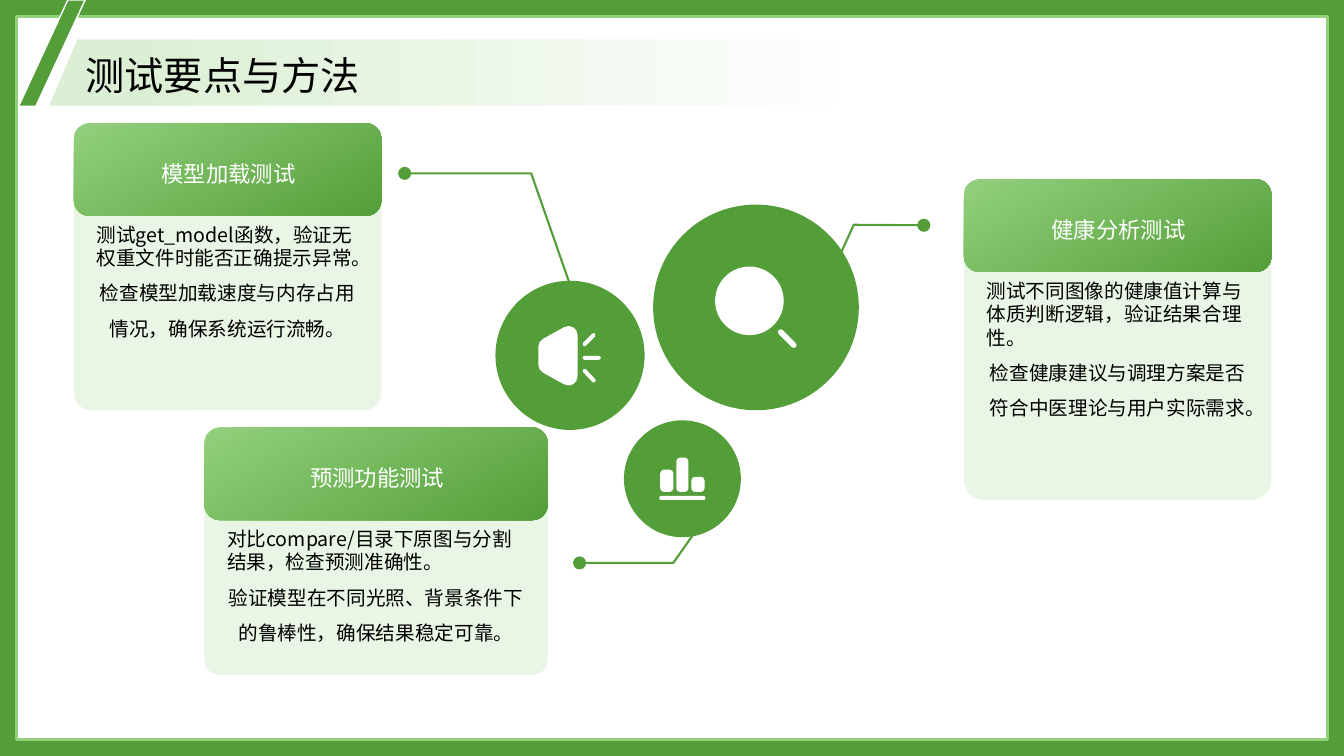
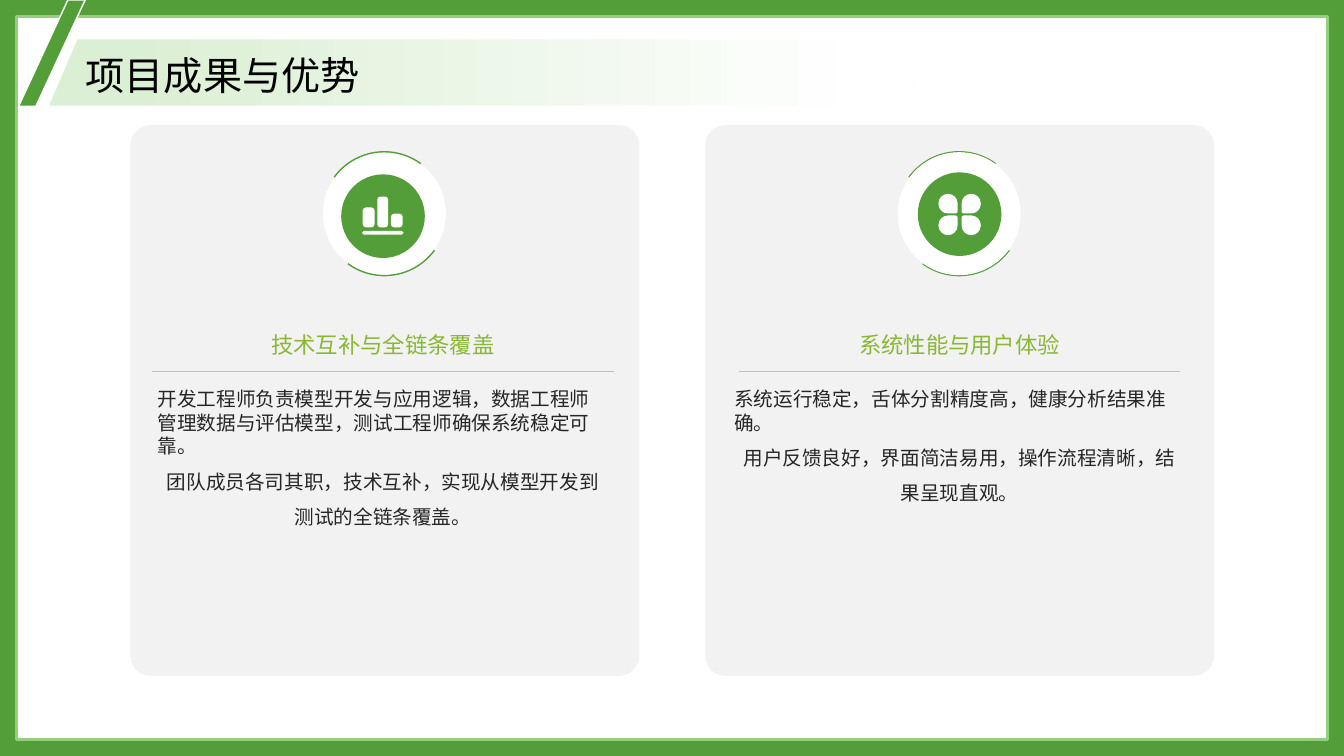
import math

import pptx
import pptx.dml.color
import pptx.enum.shapes
import pptx.enum.text
import pptx.oxml
import pptx.oxml.ns
import pptx.util
from lxml import etree

# Grid of square cells: 75 rows, 133.33 columns
ROWS = 75
HEIGHT = pptx.util.Inches(7.5)
WIDTH = pptx.util.Inches(13.333)
CELL = HEIGHT / ROWS
COLS = WIDTH / CELL

COLOURS = {
    "green": "549E39", "light": "93D07D", "pale": "DBEFD4", "lime": "8AB833",
    "white": "FFFFFF", "grey": "F2F2F2", "rule": "BFBFBF",
    "black": "000000", "ink": "262626",
}
FONT = "Noto Sans CJK SC"
SHAPE = pptx.enum.shapes.MSO_SHAPE
ANCHOR = pptx.enum.text.MSO_ANCHOR
ALIGN = pptx.enum.text.PP_ALIGN
qn = pptx.oxml.ns.qn

FLUSH = dict.fromkeys(("margin_left", "margin_top", "margin_right", "margin_bottom"), 0)
TITLE = {"alignment": ALIGN.LEFT, "line_spacing": 1.1}
HEADING = {"alignment": ALIGN.CENTER, "line_spacing": 1.3}
CAPTION = {"alignment": ALIGN.CENTER}
LEAD = {"alignment": ALIGN.LEFT, "line_spacing": 1.0}
DETAIL = {"alignment": ALIGN.CENTER, "line_spacing": 1.5}


# Basic helpers
def cells(n):
    return pptx.util.Emu(round(n * CELL))


def rgb(name):
    return pptx.dml.color.RGBColor.from_string(COLOURS[name])


def apply(obj, values):
    for key, value in values.items():
        setattr(obj, key, value)


def paint(sp, fill=None, line=None, width=1.0):
    sp.shadow.inherit = False
    if fill:
        sp.fill.solid()
        sp.fill.fore_color.rgb = rgb(fill)
    else:
        sp.fill.background()
    if line:
        sp.line.color.rgb = rgb(line)
        sp.line.width = pptx.util.Pt(width)
    else:
        sp.line.fill.background()


def shape(s, kind, x, y, w, h, fill=None, line=None, width=1.0, adj=None, turn=0):
    sp = s.shapes.add_shape(kind, *map(cells, (x, y, w, h)))
    paint(sp, fill, line, width)
    if adj is not None:
        sp.adjustments[0] = adj
    sp.rotation = turn
    return sp


def circle(s, cx, cy, d, fill):
    return shape(s, SHAPE.OVAL, cx - d / 2, cy - d / 2, d, d, fill)


def gradient(sp, stops, angle):
    sp.fill.gradient()
    sp.fill.gradient_angle = angle
    for stop, (position, colour) in zip(sp.fill.gradient_stops, stops):
        stop.position = position
        stop.color.rgb = rgb(colour)


def fade(sp, percent):
    clr = sp.fill._xPr.find(".//" + qn("a:srgbClr"))
    etree.SubElement(clr, qn("a:alpha"), val=str(percent * 1000))


def text(s, x, y, w, h, paragraphs, size, colour, anchor=ANCHOR.TOP, margins=FLUSH):
    tf = s.shapes.add_textbox(*map(cells, (x, y, w, h))).text_frame
    apply(tf, {"word_wrap": True, "vertical_anchor": anchor, **margins})
    for i, (words, layout) in enumerate(paragraphs):
        p = tf.add_paragraph() if i else tf.paragraphs[0]
        apply(p, layout)
        r = p.add_run()
        r.text = words
        apply(r.font, {"size": pptx.util.Pt(size), "name": FONT})
        r.font.color.rgb = rgb(colour)
        etree.SubElement(r.font._element, qn("a:ea"), typeface=FONT)


def outline(s, contours, close=True):
    """Freeform from lists of complex points measured in cells."""
    fb = None
    for points in contours:
        xy = [(cells(z.real), cells(z.imag)) for z in points]
        if fb is None:
            fb = s.shapes.build_freeform(*xy[0], scale=1.0)
        else:
            fb.move_to(*xy[0])
        fb.add_line_segments(xy[1:], close=close)
    return fb.convert_to_shape()


def bend(sp):
    """Turn each corner's three last points into one Bezier curve."""
    count = 0
    for step in list(sp._element.iter(qn("a:moveTo"), qn("a:lnTo"))):
        count = 0 if step.tag == qn("a:moveTo") else count + 1
        if count % 4 == 1:
            step.tag = qn("a:cubicBezTo")
            curve = step
        elif count % 4 > 1:
            curve.append(step[0])
            step.getparent().remove(step)


# Icon contours: clockwise polygons with rounded corners
def fillet(corners, radii):
    points = []
    before, after = corners[-1:] + corners[:-1], corners[1:] + corners[:1]
    for a, p, b, r in zip(before, corners, after, radii):
        u, v = (a - p) / abs(a - p), (b - p) / abs(b - p)
        half = math.acos((u * v.conjugate()).real) / 2
        reach = r / math.tan(half)
        pull = reach - r * 4 / 3 * math.tan((math.pi - 2 * half) / 4)
        points += [p + u * reach, p + u * pull, p + v * pull, p + v * reach]
    return points


def block(x, y, w, h, *radii):
    z = complex(x, y)
    return fillet([z, z + w, z + complex(w, h), z + 1j * h],
                  radii if len(radii) == 4 else radii * 4)


def stroke(a, b, thick=0.4):
    d = (b - a) / abs(b - a) * thick / 2
    a, b, n = a - d, b + d, d * 1j
    return fillet([a - n, b - n, b + n, a + n], [thick / 2] * 4)


def bars_icon():
    bars = [(0.1, 1.2, 1.3, 2.2), (1.7, 0, 1.2, 3.4), (3.2, 1.9, 1.3, 1.5)]
    return [block(*bar, 0.35) for bar in bars] + [stroke(0.2 + 4j, 4.4 + 4j)]


def lens_icon():
    return [block(0, 0, 6.8, 6.8, 3.4), stroke(6.5 + 6.5j, 7.8 + 7.8j, 0.55)]


def horn_icon():
    bell = [1.48j, 3.9 - 0.67j, 3.9 + 6.47j, 4.32j]
    rays = [(4.6 + 1.75j, 5.5 + 0.85j), (4.6 + 3.1j, 6 + 3.1j), (4.6 + 4.4j, 5.5 + 5.35j)]
    return [fillet(bell, [0.9] * 4)] + [stroke(*ray) for ray in rays]


def clover_icon():
    petals = []
    for k, (col, row) in enumerate([(0, 0), (1, 0), (1, 1), (0, 1)]):
        radii = [0.95] * 4
        radii[(k + 2) % 4] = 0.2
        petals.append(block(2.3 * col, 2.15 * row, 1.9, 1.95, *radii))
    return petals


def icon(s, contours, x, y, scale=1.0):
    origin = complex(x, y)
    sp = outline(s, [[origin + z * scale for z in c] for c in contours])
    bend(sp)
    paint(sp, "white")


# Shared frame and title band
def new_slide(prs, title):
    s = prs.slides.add_slide(prs.slide_layouts[6])
    shape(s, SHAPE.RECTANGLE, 0, 0, COLS, ROWS, "green")
    shape(s, SHAPE.RECTANGLE, 1.65, 1.65, COLS - 3.3, ROWS - 3.3, "white", "light", 2)
    band = shape(s, SHAPE.PARALLELOGRAM, 4.75, 3.85, 87.7, 6.7, "pale", "white", adj=0.43)
    gradient(band, [(0.08, "pale"), (0.93, "white")], 0)
    text(s, 8.5, 4.65, 64.7, 5.1, [(title, TITLE)], 28, "black", ANCHOR.MIDDLE)
    shape(s, SHAPE.PARALLELOGRAM, 1.85, 0, 6.6, 10.55, "green", "white", adj=0.74)
    return s


# Test card: pale body below a gradient heading
def card(s, x, y, w, bottom, heading, lead, detail):
    top = y + 3.5
    fade(shape(s, SHAPE.ROUNDED_RECTANGLE, x, top, w, bottom - top, "pale", adj=0.07), 60)
    head = shape(s, SHAPE.ROUNDED_RECTANGLE, x, y, w, 9.2, "green")
    gradient(head, [(0, "light"), (1, "green")], 300)
    text(s, x + 1.6, y + 1.15, w - 3, 6.9, [(heading, HEADING)], 16, "white", ANCHOR.MIDDLE)
    text(s, x + 2.25, y + 9.85, w - 4.5, bottom - y - 10.5,
         [(lead, LEAD), (detail, DETAIL)], 14, "black")


def leader(s, *points):
    paint(outline(s, [points], close=False), line="green", width=1.5)
    circle(s, points[-1].real, points[-1].imag, 1.3, "green")


# Result panel: ring with icon, caption, rule and text
def ring(s, cx, cy, arcs_on_top):
    def arcs():
        for turn in (306.1, 126.1):
            shape(s, SHAPE.ARC, cx - 6.15, cy - 6.15, 12.3, 12.3, line="green", turn=turn)

    def disc():
        circle(s, cx, cy, 12.2, "white")

    for layer in (disc, arcs) if arcs_on_top else (arcs, disc):
        layer()


def panel(s, x, arcs_on_top, hub, rule, text_x, caption, lead, detail):
    shape(s, SHAPE.ROUNDED_RECTANGLE, x, 12.4, 50.5, 54.65, "grey", adj=0.04)
    ring(s, x + 25.2, 21.2, arcs_on_top)
    circle(s, *hub, 8.3, "green")
    text(s, text_x, 28.75, 46.7, 7.3, [(caption, CAPTION)], 16, "lime", ANCHOR.BOTTOM, {})
    text(s, text_x, 37.93, 46.7, 29.2, [(lead, LEAD), (detail, DETAIL)], 14, "ink", margins={})
    left, right = rule
    line = s.shapes.add_connector(pptx.enum.shapes.MSO_CONNECTOR.STRAIGHT,
                                  *map(cells, (left, 36.85, right, 36.85)))
    line.line.color.rgb = rgb("rule")
    line.line.width = pptx.util.Pt(0.5)
    etree.SubElement(line._element.spPr, qn("a:effectLst"))


def testing_slide(prs):
    s = new_slide(prs, "测试要点与方法")
    for cx, cy, d in [(67.7, 47.5, 11.6), (56.55, 35.25, 14.8), (75, 30.5, 20.4)]:
        circle(s, cx, cy, d, "green")
    leader(s, 56.5 + 28.1j, 52.7 + 17.2j, 40.15 + 17.2j)
    leader(s, 69.5 + 52j, 66.8 + 55.85j, 57.5 + 55.85j)
    leader(s, 82.8 + 26.5j, 84.7 + 22.3j, 91.65 + 22.35j)
    card(s, 7.33, 12.22, 30.5, 40.7, "模型加载测试",
         "测试get_model函数，验证无权重文件时能否正确提示异常。",
         "检查模型加载速度与内存占用情况，确保系统运行流畅。")
    card(s, 95.63, 17.78, 30.5, 49.6, "健康分析测试",
         "测试不同图像的健康值计算与体质判断逻辑，验证结果合理性。",
         "检查健康建议与调理方案是否符合中医理论与用户实际需求。")
    card(s, 20.28, 42.4, 34.05, 66.95, "预测功能测试",
         "对比compare/目录下原图与分割结果，检查预测准确性。",
         "验证模型在不同光照、背景条件下的鲁棒性，确保结果稳定可靠。")
    icon(s, bars_icon(), 65.4, 45.4)
    icon(s, lens_icon(), 70.95, 26.45)
    icon(s, horn_icon(), 53.4, 32.4)


def results_slide(prs):
    s = new_slide(prs, "项目成果与优势")
    panel(s, 12.93, True, (38, 21.45), (15.1, 60.9), 14.65, "技术互补与全链条覆盖",
          "开发工程师负责模型开发与应用逻辑，数据工程师管理数据与评估模型，测试工程师确保系统稳定可靠。",
          "团队成员各司其职，技术互补，实现从模型开发到测试的全链条覆盖。")
    panel(s, 69.95, False, (95.2, 21.25), (73.3, 117.05), 71.85, "系统性能与用户体验",
          "系统运行稳定，舌体分割精度高，健康分析结果准确。",
          "用户反馈良好，界面简洁易用，操作流程清晰，结果呈现直观。")
    icon(s, bars_icon(), 35.9, 19.5, 0.9)
    icon(s, clover_icon(), 93.1, 19.23)


def main():
    prs = pptx.Presentation()
    apply(prs, {"slide_width": WIDTH, "slide_height": HEIGHT})
    testing_slide(prs)
    results_slide(prs)
    prs.save("out.pptx")


if __name__ == "__main__":
    main()
